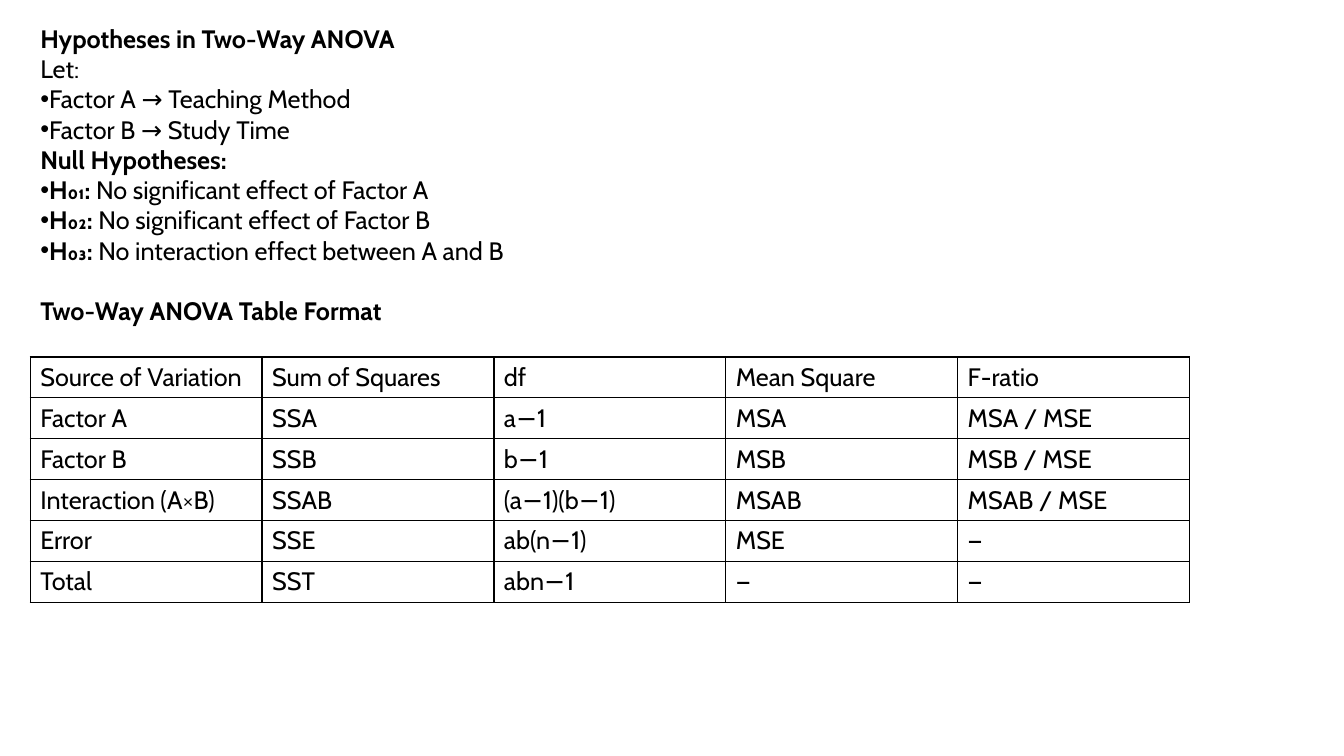
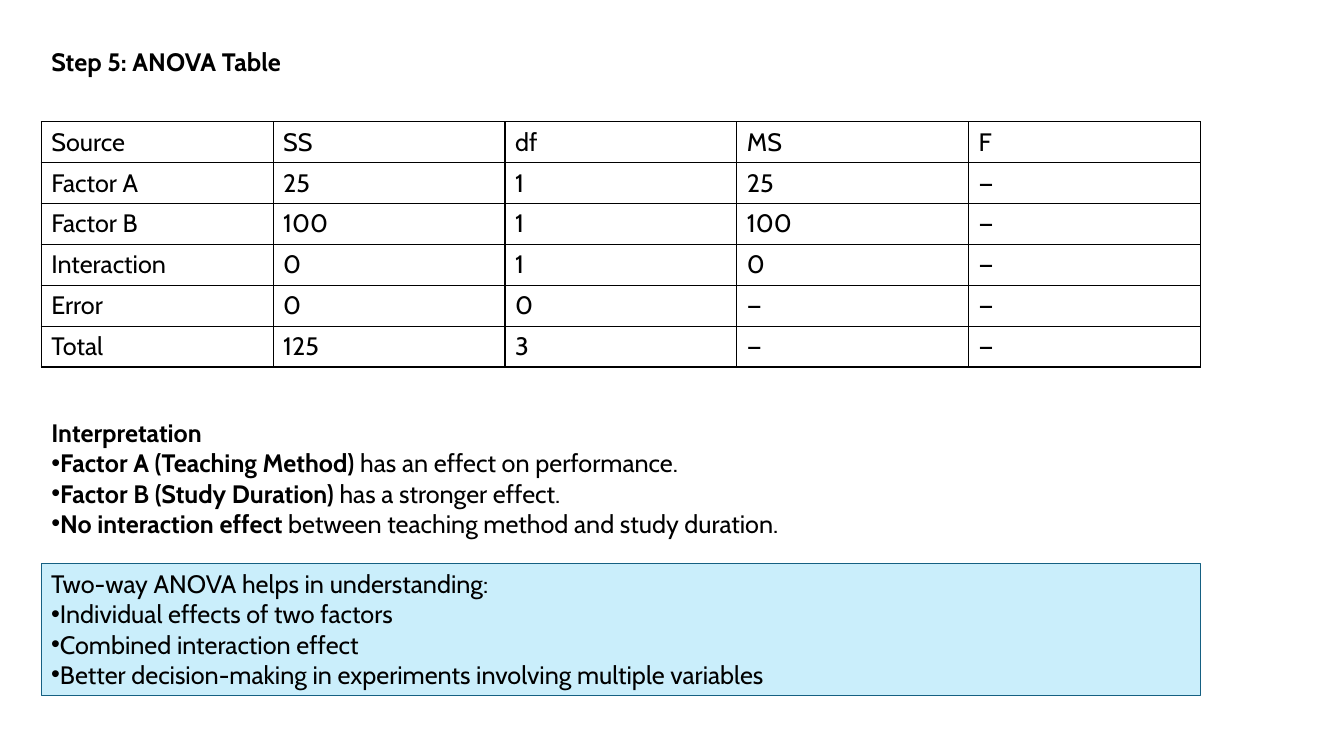
import pptx
import pptx.dml.color
import pptx.enum.shapes
import pptx.enum.text
import pptx.oxml.ns
import pptx.util
from collections import namedtuple
from lxml import etree

Pt = pptx.util.Pt
RGBColor = pptx.dml.color.RGBColor
qn = pptx.oxml.ns.qn
Box = namedtuple("Box", "left top width height")
Line = namedtuple("Line", "bold plain bullet gap", defaults=("", False, 0))

BLACK = RGBColor(0x00, 0x00, 0x00)
PALE_BLUE = RGBColor(0xCA, 0xEE, 0xFB)
DEEP_BLUE = RGBColor(0x15, 0x60, 0x82)
FONT = "Cabin"
TEXT_SIZE = 18
LINE_HEIGHT = 21.6
ROW_HEIGHT = 28.8
TABLE_WIDTH = 828

HYPOTHESES = [
    Line("", "Let:"),
    Line("", "Factor A → Teaching Method", True),
    Line("", "Factor B → Study Time", True),
    Line("Null Hypotheses:"),
    Line("H₀₁:", " No significant effect of Factor A", True),
    Line("H₀₂:", " No significant effect of Factor B", True),
    Line("H₀₃:", " No interaction effect between A and B", True),
    Line("Two-Way ANOVA Table Format", gap=LINE_HEIGHT),
]
FORMAT_ROWS = [
    ["Source of Variation", "Sum of Squares", "df", "Mean Square", "F-ratio"],
    ["Factor A", "SSA", "a−1", "MSA", "MSA / MSE"],
    ["Factor B", "SSB", "b−1", "MSB", "MSB / MSE"],
    ["Interaction (A×B)", "SSAB", "(a−1)(b−1)", "MSAB", "MSAB / MSE"],
    ["Error", "SSE", "ab(n−1)", "MSE", "—"],
    ["Total", "SST", "abn−1", "—", "—"],
]
RESULT_ROWS = [
    ["Source", "SS", "df", "MS", "F"],
    ["Factor A", "25", "1", "25", "—"],
    ["Factor B", "100", "1", "100", "—"],
    ["Interaction", "0", "1", "0", "—"],
    ["Error", "0", "0", "—", "—"],
    ["Total", "125", "3", "—", "—"],
]
INTERPRETATION = [
    Line("Interpretation"),
    Line("Factor A (Teaching Method)", " has an effect on performance.", True),
    Line("Factor B (Study Duration)", " has a stronger effect.", True),
    Line("No interaction effect", " between teaching method and study duration.", True),
]
CONCLUSION = [
    Line("", "Two-way ANOVA helps in understanding:"),
    Line("", "Individual effects of two factors", True),
    Line("", "Combined interaction effect", True),
    Line("", "Better decision-making in experiments involving multiple variables", True),
]


def add_run(paragraph, text, bold=False, size=TEXT_SIZE, color=BLACK):
    """Add one formatted run of text."""
    run = paragraph.add_run()
    run.text = text
    run.font.name = FONT
    run.font.size = Pt(size)
    run.font.bold = bold
    run.font.color.rgb = color


def set_bullet(paragraph, bullet):
    """Give a paragraph a flush bullet, or none."""
    properties = paragraph._p.get_or_add_pPr()
    properties.set("marL", "0")
    properties.set("indent", "0")
    if bullet:
        etree.SubElement(properties, qn("a:buFont"), typeface="Arial")
        etree.SubElement(properties, qn("a:buChar"), char="•")
    else:
        etree.SubElement(properties, qn("a:buNone"))


def fill_text(shape, box, lines):
    """Place a shape in its box and write its lines from the top left."""
    shape.left, shape.top, shape.width, shape.height = map(Pt, box)
    frame = shape.text_frame
    frame.word_wrap = True
    frame.auto_size = pptx.enum.text.MSO_AUTO_SIZE.NONE
    frame.vertical_anchor = pptx.enum.text.MSO_ANCHOR.TOP
    for index, line in enumerate(lines):
        paragraph = frame.add_paragraph() if index else frame.paragraphs[0]
        paragraph.alignment = pptx.enum.text.PP_ALIGN.LEFT
        paragraph.space_before = Pt(line.gap)
        set_bullet(paragraph, line.bullet)
        if line.bold:
            add_run(paragraph, line.bold, bold=True)
        if line.plain:
            add_run(paragraph, line.plain)


def set_borders(cell):
    """Draw a thin black line on all four sides of a cell."""
    properties = cell._tc.get_or_add_tcPr()
    for side in ("a:lnL", "a:lnR", "a:lnT", "a:lnB"):
        border = etree.SubElement(properties, qn(side), w=str(Pt(1)))
        fill = etree.SubElement(border, qn("a:solidFill"))
        etree.SubElement(fill, qn("a:srgbClr"), val=str(BLACK))


def add_anova_table(slide, left, top, rows):
    """Add a ruled table with equal rows and columns."""
    frame = slide.shapes.add_table(
        len(rows), len(rows[0]), Pt(left), Pt(top),
        Pt(TABLE_WIDTH), Pt(ROW_HEIGHT * len(rows)))
    table = frame.table
    table.first_row = False
    table.horz_banding = False
    for row_index, row in enumerate(rows):
        for column_index, text in enumerate(row):
            cell = table.cell(row_index, column_index)
            set_borders(cell)
            cell.fill.background()
            cell.vertical_anchor = pptx.enum.text.MSO_ANCHOR.MIDDLE
            add_run(cell.text_frame.paragraphs[0], text)


def add_conclusion(slide, box):
    """Add the blue panel with the closing list."""
    panel = slide.shapes.add_shape(
        pptx.enum.shapes.MSO_SHAPE.RECTANGLE, *map(Pt, box))
    panel.shadow.inherit = False
    panel.fill.solid()
    panel.fill.fore_color.rgb = PALE_BLUE
    panel.line.color.rgb = DEEP_BLUE
    panel.line.width = Pt(0.75)
    fill_text(panel, box, CONCLUSION)


def add_titled_slide(presentation, title, title_box, lines, body_box):
    """Add a slide with a bold title and a body list."""
    slide = presentation.slides.add_slide(presentation.slide_layouts[1])
    fill_text(slide.shapes.title, title_box, [Line(title)])
    fill_text(slide.placeholders[1], body_box, lines)
    return slide


def add_hypotheses_slide(presentation, box):
    """Build the slide of hypotheses and the table format."""
    slide = add_titled_slide(
        presentation, "Hypotheses in Two-Way ANOVA",
        Box(box.left, box.top, box.width, ROW_HEIGHT), HYPOTHESES,
        Box(box.left, box.top + LINE_HEIGHT, box.width, 204))
    add_anova_table(slide, box.left, box.top + 242, FORMAT_ROWS)


def add_results_slide(presentation, box):
    """Build the slide of the computed table and its reading."""
    slide = add_titled_slide(
        presentation, "Step 5: ANOVA Table",
        Box(box.left, box.top, box.width, ROW_HEIGHT), INTERPRETATION,
        Box(box.left, box.top + 265, box.width, 94.5))
    add_anova_table(slide, box.left, box.top + 57.5, RESULT_ROWS)
    add_conclusion(slide, Box(box.left, box.top + 373, TABLE_WIDTH, 94.5))


def main():
    """Build and save the presentation."""
    presentation = pptx.Presentation()
    presentation.slide_width = Pt(960)
    presentation.slide_height = Pt(540)
    add_hypotheses_slide(presentation, Box(21.6, 13, 906.5, 415))
    add_results_slide(presentation, Box(29.5, 29.5, 898, 467.5))
    presentation.save("out.pptx")


if __name__ == "__main__":
    main()
